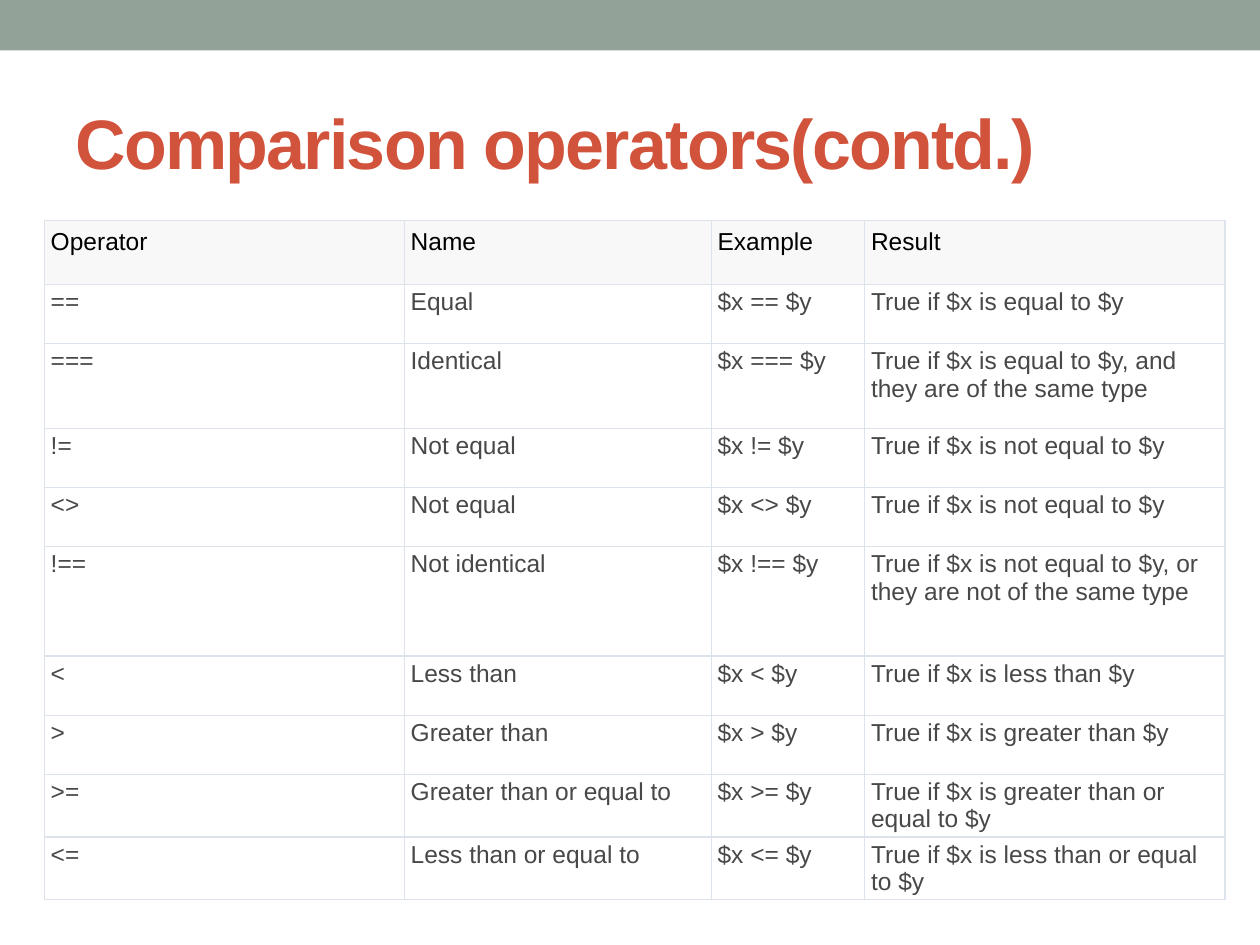
import dataclasses

import pptx
import pptx.dml.color
import pptx.enum.shapes
import pptx.enum.text
import pptx.oxml
import pptx.oxml.ns
import pptx.util

Pt = pptx.util.Pt
RGB = pptx.dml.color.RGBColor
ANCHOR = pptx.enum.text.MSO_ANCHOR

SAGE = RGB(0x93, 0xA2, 0x99)
RUST = RGB(0xD2, 0x53, 0x3C)
BLACK = RGB(0, 0, 0)
GREY = RGB(0x48, 0x48, 0x48)
PALE = RGB(0xF8, 0xF8, 0xF8)
WHITE = RGB(0xFF, 0xFF, 0xFF)
RULE = RGB(0xDC, 0xE3, 0xEB)

SHORT, TALL, TALLEST, HEADER = 33.8, 48.2, 62.6, 36.7
WIDTHS = (205.7, 175.4, 87.7, 205.9)


@dataclasses.dataclass
class Row:
    sign: str
    name: str
    result: str
    height: float = SHORT

    def texts(self) -> tuple[str, ...]:
        return self.sign, self.name, f"$x {self.sign} $y", f"True if $x is {self.result}"


ROWS = (
    Row("==", "Equal", "equal to $y"),
    Row("===", "Identical", "equal to $y, and they are of the same type", TALL),
    Row("!=", "Not equal", "not equal to $y"),
    Row("<>", "Not equal", "not equal to $y"),
    Row("!==", "Not identical", "not equal to $y, or they are not of the same type", TALLEST),
    Row("<", "Less than", "less than $y"),
    Row(">", "Greater than", "greater than $y"),
    Row(">=", "Greater than or equal to", "greater than or equal to $y"),
    Row("<=", "Less than or equal to", "less than or equal to $y"),
)


def write(frame, text: str, *, size: float, color: RGB, bold: bool = False,
          track: float = 0) -> None:
    """Put one formatted run into a text frame."""
    para = frame.paragraphs[0]
    para.alignment = pptx.enum.text.PP_ALIGN.LEFT
    run = para.add_run()
    run.text = text
    font = run.font
    font.name, font.size, font.bold = "Arial", Pt(size), bold
    font.color.rgb = color
    if track:
        font._element.set("spc", str(round(track * 100)))


def border(cell) -> None:
    """Draw a thin rule on all four sides of a cell."""
    props = cell._tc.get_or_add_tcPr()
    for place, side in enumerate(("lnL", "lnR", "lnT", "lnB")):
        line = pptx.oxml.parse_xml(
            f'<a:{side} {pptx.oxml.ns.nsdecls("a")} w="{Pt(0.75)}">'
            f'<a:solidFill><a:srgbClr val="{RULE}"/></a:solidFill></a:{side}>')
        props.insert(place, line)


def fill_row(table, index: int, texts: tuple[str, ...], height: float,
             *, ink: RGB, paper: RGB, pad: float) -> None:
    table.rows[index].height = Pt(height)
    for cell, text in zip(table.rows[index].cells, texts):
        cell.margin_left = cell.margin_right = Pt(3.6)
        cell.margin_top = cell.margin_bottom = Pt(pad)
        cell.vertical_anchor = ANCHOR.TOP
        cell.fill.solid()
        cell.fill.fore_color.rgb = paper
        border(cell)
        write(cell.text_frame, text, size=14, color=ink)


def main() -> None:
    deck = pptx.Presentation()
    deck.slide_width, deck.slide_height = Pt(720), Pt(540)
    slide = deck.slides.add_slide(deck.slide_layouts[5])
    shapes = slide.shapes

    # Top band
    band = shapes.add_shape(pptx.enum.shapes.MSO_SHAPE.RECTANGLE,
                            Pt(0), Pt(0), Pt(720), Pt(28.8))
    band.shadow.inherit = False
    band.fill.solid()
    band.fill.fore_color.rgb = SAGE
    band.line.fill.background()

    # Title
    title = shapes.title
    title.left, title.top, title.width, title.height = Pt(36), Pt(42), Pt(648), Pt(78)
    title.text_frame.vertical_anchor = ANCHOR.MIDDLE
    write(title.text_frame, "Comparison operators(contd.)",
          size=40, color=RUST, bold=True, track=-1)

    # Operator table
    total = HEADER + sum(row.height for row in ROWS)
    table = shapes.add_table(len(ROWS) + 1, len(WIDTHS), Pt(25.4), Pt(126),
                             Pt(sum(WIDTHS)), Pt(total)).table
    table.horz_banding = False
    for column, width in zip(table.columns, WIDTHS):
        column.width = Pt(width)
    fill_row(table, 0, ("Operator", "Name", "Example", "Result"), HEADER,
             ink=BLACK, paper=PALE, pad=4.3)
    for index, row in enumerate(ROWS, 1):
        fill_row(table, index, row.texts(), row.height, ink=GREY, paper=WHITE, pad=2.2)
    table.first_row = False

    deck.save("out.pptx")


if __name__ == "__main__":
    main()
